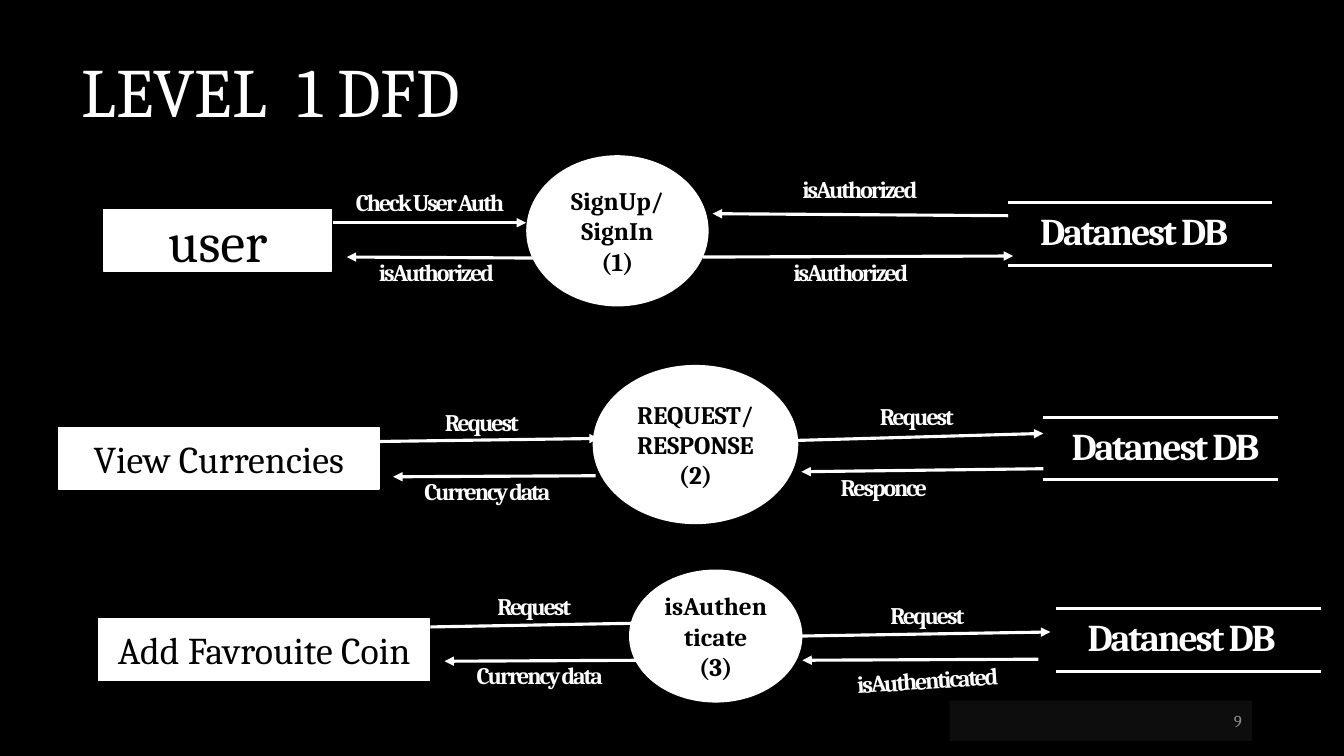
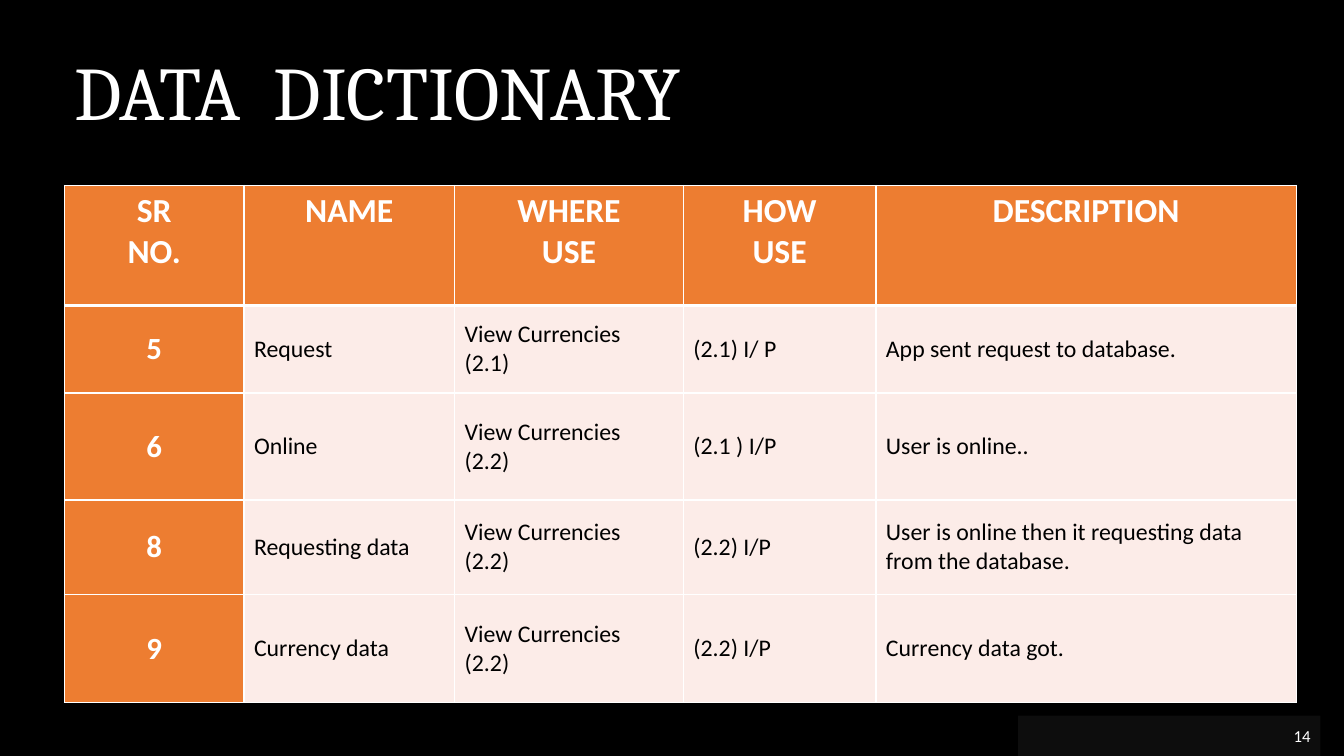
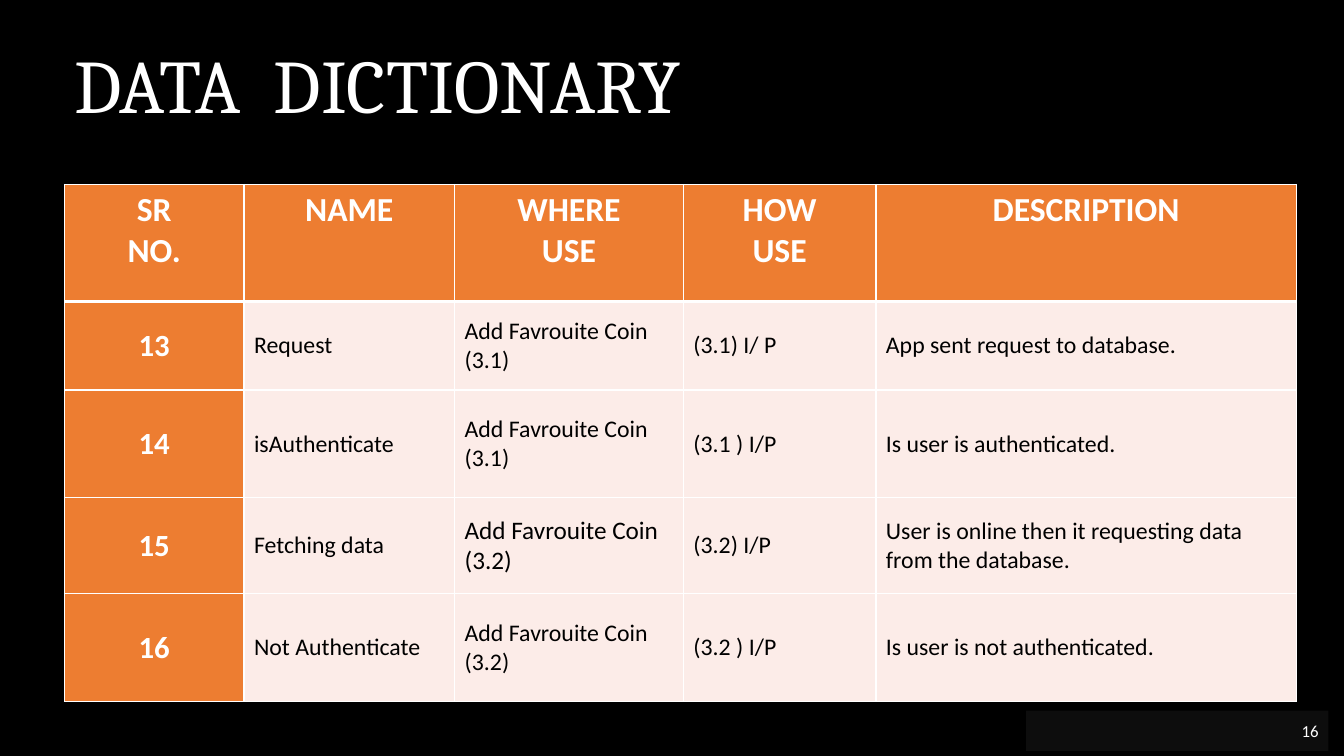
from lxml import etree
from pptx import Presentation
from pptx.dml.color import RGBColor
from pptx.enum.shapes import MSO_CONNECTOR, MSO_SHAPE
from pptx.enum.text import MSO_ANCHOR, PP_ALIGN
from pptx.oxml.ns import qn
from pptx.util import Inches, Pt

BLACK = RGBColor(0x00, 0x00, 0x00)
WHITE = RGBColor(0xFF, 0xFF, 0xFF)
BAND = RGBColor(0x0D, 0x0D, 0x0D)
GREY = RGBColor(0x8C, 0x8C, 0x8C)
ORANGE = RGBColor(0xED, 0x7D, 0x31)
PINK = RGBColor(0xFC, 0xEC, 0xE8)
SERIF, SANS = "Cambria", "Calibri"
LEFT, CENTER, RIGHT = PP_ALIGN.LEFT, PP_ALIGN.CENTER, PP_ALIGN.RIGHT
TOP, MIDDLE = MSO_ANCHOR.TOP, MSO_ANCHOR.MIDDLE
RECT, OVAL = MSO_SHAPE.RECTANGLE, MSO_SHAPE.OVAL
STRAIGHT = MSO_CONNECTOR.STRAIGHT

COLS, ROWS = 133.33, 75
LINE_H = 4.7
ENTITY_H = 6.1
STORE_H = 6.2
WIDE, NARROW = 43.7, 16


def grid(*cells):
    return [Inches(c / 10) for c in cells]


def write(tf, text, size, color, font=SERIF, bold=False, align=LEFT,
          leading=None, tight=False):
    for i, line in enumerate(text.split("\n")):
        p = tf.paragraphs[0] if i == 0 else tf.add_paragraph()
        p.alignment = align
        if leading:
            p.line_spacing = leading
        r = p.add_run()
        r.text = line
        r.font.size = Pt(size)
        r.font.name = font
        r.font.bold = bold
        r.font.color.rgb = color
        if tight:
            r._r.get_or_add_rPr().set("spc", "-150")


def add_block(shapes, kind, box, fill, text, size, color, line=None, **style):
    sp = shapes.add_shape(kind, *grid(*box))
    sp.shadow.inherit = False
    sp.fill.solid()
    sp.fill.fore_color.rgb = fill
    if line:
        sp.line.color.rgb = line
        sp.line.width = Pt(1)
    else:
        sp.line.fill.background()
    tf = sp.text_frame
    tf.word_wrap = True
    tf.vertical_anchor = MIDDLE
    write(tf, text, size, color, **style)


def add_text(shapes, box, text, size, inset=True, **style):
    sp = shapes.add_textbox(*grid(*box))
    tf = sp.text_frame
    tf.word_wrap = True
    tf.vertical_anchor = MIDDLE
    if not inset:
        tf.margin_left = tf.margin_right = tf.margin_top = tf.margin_bottom = 0
    write(tf, text, size, WHITE, leading=0.9, **style)
    return sp


def add_line(shapes, x1, y1, x2, y2, arrow=False):
    c = shapes.add_connector(STRAIGHT, *grid(x1, y1, x2, y2))
    c.line.color.rgb = WHITE
    c.line.width = Pt(2.25)
    pr = c.element.spPr
    if arrow:
        etree.SubElement(pr.find(qn("a:ln")), qn("a:tailEnd"), type="triangle")
    etree.SubElement(pr, qn("a:effectLst"))


def new_slide(prs, title, title_box, title_size, number, number_at,
              number_color, number_font):
    s = prs.slides.add_slide(prs.slide_layouts[6])
    add_text(s.shapes, (*title_box, LINE_H), title, title_size)
    add_block(s.shapes, RECT, (*number_at, 30, 4), BAND, number, 12,
              number_color, font=number_font, align=RIGHT)
    return s


def add_store(s, x, y, w, inset):
    g = s.shapes.add_group_shape().shapes
    for edge in (y, y + STORE_H):
        add_line(g, x, edge, x + w, edge)
    add_text(g, (x + inset, y + 0.7, w - inset, LINE_H), "Datanest DB", 27,
             inset=False, bold=True, tight=True)


def add_flow_row(s, top, entity, process, store, flows):
    name, size, x, y, w = entity
    add_block(s.shapes, RECT, (x, top + y, w, ENTITY_H), WHITE, name, size,
              BLACK, line=WHITE, align=CENTER)
    name, x, y, w, h = process
    add_block(s.shapes, OVAL, (x, top + y, w, h), WHITE, name, 18, BLACK,
              bold=True, align=CENTER)
    x, y, w, inset = store
    add_store(s, x, top + y, w, inset)
    for (x1, y1, x2, y2), label, x, y, w, turn in flows:
        add_line(s.shapes, x1, top + y1, x2, top + y2, arrow=True)
        sp = add_text(s.shapes, (x, top + y, w, LINE_H), label, 17,
                      inset=False, bold=True, tight=True,
                      align=CENTER if w == NARROW else LEFT)
        sp.rotation = turn


def set_borders(cell, widths):
    pr = cell._tc.get_or_add_tcPr()
    for side, width in zip("LRTB", widths):
        ln = etree.SubElement(pr, qn("a:ln" + side), w=str(Pt(width)))
        fill = etree.SubElement(ln, qn("a:solidFill"))
        etree.SubElement(fill, qn("a:srgbClr"), val=str(WHITE))


def add_dictionary(s, x, y, heights, entries, sizes):
    rows = [HEADINGS] + entries
    frame = s.shapes.add_table(len(rows), len(DICTIONARY_COLS),
                               *grid(x, y, sum(DICTIONARY_COLS), sum(heights)))
    table = frame.table
    table.horz_banding = False
    for column, w in zip(table.columns, grid(*DICTIONARY_COLS)):
        column.width = w
    for row, h in zip(table.rows, grid(*heights)):
        row.height = h
    for i, texts in enumerate(rows):
        for j, text in enumerate(texts):
            cell = table.cell(i, j)
            head, key = i == 0, i == 0 or j == 0
            set_borders(cell, (1, 1, 3 if i == 1 else 1, 3 if head else 1))
            cell.fill.solid()
            cell.fill.fore_color.rgb = ORANGE if key else PINK
            cell.vertical_anchor = TOP if head else MIDDLE
            size = 24 if head else 22 if key else sizes.get((i, j), 17)
            write(cell.text_frame, text, size, WHITE if key else BLACK,
                  font=SANS, bold=key, align=CENTER if key else LEFT)


HEADINGS = ("SR\nNO.", "NAME", "WHERE\nUSE", "HOW\nUSE", "DESCRIPTION")
DICTIONARY_COLS = (17.8, 20.9, 22.7, 19.1, 41.7)

FLOW_ROWS = [
    (15, ("user", 40, 10.3, 5.8, 22.6),
     ("SignUp/\nSignIn\n(1)", 52.2, 0.4, 18.1, 15),
     (100, 5.1, 26.2, 3.2),
     [((33, 7.1, 52.2, 7.1), "Check User Auth", 35.3, 2.9, WIDE, 0),
      ((52.9, 10.6, 34.4, 10.5), "isAuthorized", 37.6, 9.8, WIDE, 0),
      ((100, 6.4, 70.7, 6.2), "isAuthorized", 79.6, 1.6, 19.7, 0),
      ((69.7, 10.5, 100.5, 10.4), "isAuthorized", 78.7, 9.8, WIDE, 0)]),
    (36, ("View Currencies", 27, 5.8, 6.4, 31.8),
     ("REQUEST/\nRESPONSE\n(2)", 58.8, 0.2, 20.4, 15.8),
     (103.5, 5.4, 23.3, 2.8),
     [((37.5, 7.8, 59.4, 7.5), "Request", 39.8, 3.7, NARROW, 0),
      ((59.1, 11.2, 39, 11.3), "Currency data", 42.1, 10.5, WIDE, 0),
      ((78.9, 7.7, 103.5, 7), "Request", 87.3, 3.1, 9, 0),
      ((103.5, 10.5, 79.5, 10.8), "Responce", 83.4, 10.1, WIDE, 0)]),
    (56, ("Add Favrouite Coin", 27, 9.8, 5.4, 32.8),
     ("isAuthenticate\n(3)", 62.4, 0.5, 17.2, 13.2),
     (104.8, 4.4, 26.2, 3.1),
     [((42.7, 6.2, 64.6, 5.8), "Request", 45, 2, NARROW, 0),
      ((64.2, 9.5, 44.1, 9.6), "Currency data", 47.3, 8.8, WIDE, 0),
      ((79.5, 7.1, 104.2, 6.7), "Request", 84, 2.8, NARROW, 0),
      ((103, 9.4, 79.6, 9.5), "isAuthenticated", 85, 8.3, WIDE, 356.3)]),
]

SENT = "App sent request to database."
REQUESTING = "User is online then it requesting data from the database."
VIEW, COIN = "View Currencies\n", "Add Favrouite Coin\n"

DICTIONARIES = [
    ("14", 7.2, (101, 71), 18.4, (11.9, 8.7, 10.6, 9.4, 10.7), [
        ("5", "Request", VIEW + "(2.1)", "(2.1) I/ P", SENT),
        ("6", "Online", VIEW + "(2.2)", "(2.1 ) I/P", "User is online.."),
        ("8", "Requesting data", VIEW + "(2.2)", "(2.2) I/P", REQUESTING),
        ("9", "Currency data", VIEW + "(2.2)", "(2.2) I/P",
         "Currency data got."),
    ], {}),
    ("16", 6.5, (101.8, 70.5), 18.3, (11.6, 8.8, 10.7, 9.5, 10.7), [
        ("13", "Request", COIN + "(3.1)", "(3.1) I/ P", SENT),
        ("14", "isAuthenticate", COIN + "(3.1)", "(3.1 ) I/P",
         "Is user is authenticated."),
        ("15", "Fetching data", COIN + "(3.2)", "(3.2) I/P", REQUESTING),
        ("16", "Not Authenticate", COIN + "(3.2)", "(3.2 ) I/P",
         "Is user is not authenticated."),
    ], {(3, 2): 18}),
]


def main():
    prs = Presentation()
    prs.slide_width, prs.slide_height = grid(COLS, ROWS)
    background = prs.slide_master.background.fill
    background.solid()
    background.fore_color.rgb = BLACK

    s = new_slide(prs, "LEVEL  1 DFD", (7.1, 7.1, 123.9), 49.5,
                  "9", (94.2, 69.5), GREY, SERIF)
    for row in FLOW_ROWS:
        add_flow_row(s, *row)

    for number, title_y, number_at, y, heights, entries, sizes in DICTIONARIES:
        s = new_slide(prs, "DATA  DICTIONARY", (6.4, title_y, 88.8), 54,
                      number, number_at, WHITE, SANS)
        add_dictionary(s, 6.4, y, heights, entries, sizes)

    prs.save("out.pptx")


if __name__ == "__main__":
    main()
